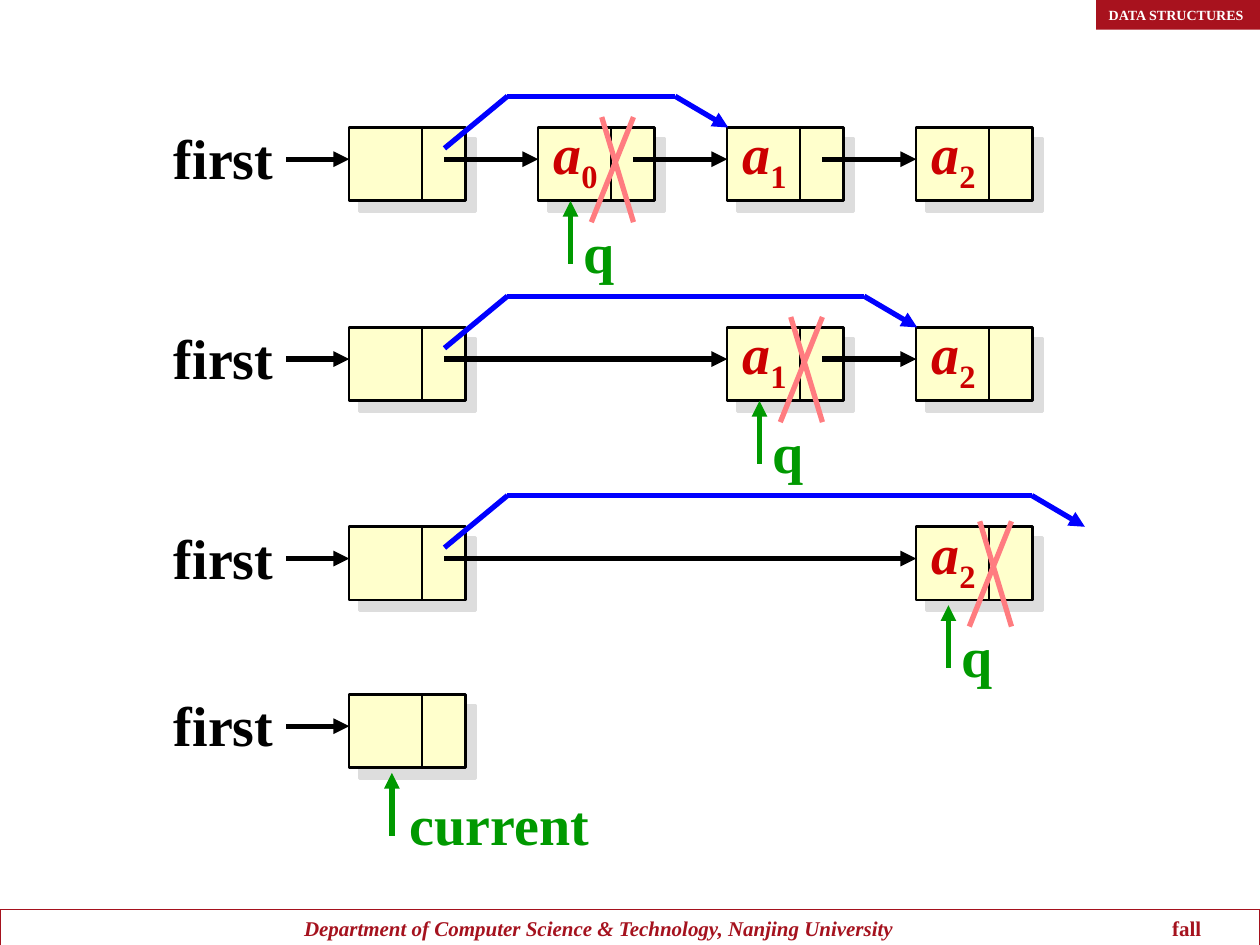
from dataclasses import dataclass

from lxml.etree import SubElement
from pptx import Presentation
from pptx.dml.color import RGBColor
from pptx.enum.shapes import MSO_CONNECTOR, MSO_SHAPE
from pptx.enum.text import MSO_ANCHOR, PP_ALIGN
from pptx.oxml.ns import qn
from pptx.util import Cm, Pt


@dataclass(frozen=True)
class Theme:
    font: str = "Times New Roman"
    ink: str = "000000"
    node: str = "FFFFCC"
    shadow: str = "DDDDDD"
    item: str = "CC0000"
    pointer: str = "009900"
    bypass: str = "0000FF"
    cross: str = "FF7C80"
    maroon: str = "A5121E"
    banner: str = "A8121E"
    white: str = "FFFFFF"
    label_size: int = 32
    footer_size: int = 12
    banner_size: int = 8
    thin: float = 1.5
    thick: float = 3


theme = Theme()
presentation = Presentation()
presentation.slide_width, presentation.slide_height = Cm(25.4), Cm(19.05)
slide = presentation.slides.add_slide(presentation.slide_layouts[6])


def add_line(start, end, color, width=theme.thick, arrow=False):
    """Draw a straight line between two (x, y) points in cm."""
    line = slide.shapes.add_connector(
        MSO_CONNECTOR.STRAIGHT, *(Cm(value) for value in (*start, *end)))
    line.line.color.rgb = RGBColor.from_string(color)
    line.line.width = Pt(width)
    properties = line._element.spPr
    if arrow:
        SubElement(properties.find(qn("a:ln")), qn("a:tailEnd"), type="triangle")
    SubElement(properties, qn("a:effectLst"))


def add_label(text, left, top, width, height, color, subscript=""):
    """Add a centred label; with a subscript, the main text turns italic."""
    box = slide.shapes.add_textbox(Cm(left), Cm(top), Cm(width), Cm(height))
    frame = box.text_frame
    frame.word_wrap = False
    frame.vertical_anchor = MSO_ANCHOR.MIDDLE
    paragraph = frame.paragraphs[0]
    paragraph.text = text
    paragraph.alignment = PP_ALIGN.CENTER
    if subscript:
        paragraph.runs[0].font.italic = True
        run = paragraph.add_run()
        run.text = subscript
        run._r.get_or_add_rPr().set("baseline", "-25000")
    for run in paragraph.runs:
        run.font.name = theme.font
        run.font.size = Pt(theme.label_size)
        run.font.bold = True
        run.font.color.rgb = RGBColor.from_string(color)


# Footer and banner
footer = slide.shapes.add_shape(MSO_SHAPE.RECTANGLE, 0, Cm(18.33), Cm(25.4), Cm(0.76))
footer.fill.background()
footer.line.color.rgb = RGBColor.from_string(theme.maroon)
footer.line.width = Pt(0.75)
banner = slide.shapes.add_shape(MSO_SHAPE.RECTANGLE, Cm(22.1), 0, Cm(3.3), Cm(0.6))
banner.fill.solid()
banner.fill.fore_color.rgb = RGBColor.from_string(theme.banner)
banner.line.fill.background()

for shape, text, size, color in (
    (footer, "\tDepartment of Computer Science & Technology, Nanjing University\tfall",
     theme.footer_size, theme.maroon),
    (banner, "DATA STRUCTURES", theme.banner_size, theme.white),
):
    shape.shadow.inherit = False
    shape.text_frame.vertical_anchor = MSO_ANCHOR.TOP
    paragraph = shape.text_frame.paragraphs[0]
    paragraph.alignment = PP_ALIGN.LEFT
    if shape is footer:
        tabs = SubElement(paragraph._p.get_or_add_pPr(), qn("a:tabLst"))
        for position in (5.88, 23.38):
            SubElement(tabs, qn("a:tab"), pos=str(Cm(position)), algn="l")
    for index, part in enumerate(text.split("\t")):
        run = paragraph.add_run()
        run.text = part if index == 0 else "\t" + part
        run.font.name = theme.font
        run.font.size = Pt(size)
        run.font.bold = True
        run.font.italic = index == 1
        run.font.color.rgb = RGBColor.from_string(color)

# Linked lists: each step removes the first remaining item
LEFT, PITCH = 7.04, 3.81
NODE_WIDTH, NODE_HEIGHT, DIVIDER = 2.34, 1.48, 1.47
LINK_X, LINK_Y = 1.92, 0.64

# top, columns of the nodes, end of the bypass, drop of the marks
steps = (
    (2.57, (0, 1, 2, 3), 14.68, 0),
    (6.6, (0, 2, 3), 18.49, 0),
    (10.62, (0, 3), 21.87, 0.1),
    (14, (0,), None, 0.1),
)

for top, columns, bypass_end, drop in steps:
    node_lefts = [LEFT + PITCH * column for column in columns]
    middle, bottom = top + LINK_Y, top + NODE_HEIGHT

    for left in node_lefts:
        node = slide.shapes.add_shape(
            MSO_SHAPE.RECTANGLE, Cm(left), Cm(top), Cm(NODE_WIDTH), Cm(NODE_HEIGHT))
        node.fill.solid()
        node.fill.fore_color.rgb = RGBColor.from_string(theme.node)
        node.line.color.rgb = RGBColor.from_string(theme.ink)
        node.line.width = Pt(theme.thin)
        node.shadow.inherit = False
        shadow = SubElement(
            node._element.spPr.find(qn("a:effectLst")), qn("a:outerShdw"),
            dist=str(Pt(8.5)), dir="2700000", algn="ctr", rotWithShape="0")
        SubElement(shadow, qn("a:srgbClr"), val=theme.shadow)
        add_line((left + DIVIDER, top), (left + DIVIDER, bottom), theme.ink, theme.thin)

    add_label("first", 3.11, top - 0.21, 2.8, 1.63, theme.ink)
    link_starts = [LEFT - 1.27] + [left + LINK_X for left in node_lefts[:-1]]
    for start, end in zip(link_starts, node_lefts):
        add_line((start, middle), (end, middle), theme.ink, arrow=True)

    if bypass_end:
        corners = ((LEFT + LINK_X, top + 0.42), (LEFT + 3.19, top - 0.63),
                   (bypass_end - 1.07, top - 0.63), (bypass_end, top))
        for start, end in zip(corners, corners[1:]):
            add_line(start, end, theme.bypass, arrow=end == corners[-1])

        removed = node_lefts[1]
        pointer_x, pointer_text, text_left, text_width = removed + 0.65, "q", 0, 1.14
        for upper, lower in ((1.92, 1.07), (1.28, 1.92)):
            add_line((removed + upper, top - 0.21 + drop),
                     (removed + lower, top + 1.91 + drop), theme.cross)
    else:
        pointer_x, pointer_text, text_left, text_width = LEFT + 0.86, "current", 0.1, 4.14

    tip = bottom + drop
    add_line((pointer_x, tip + 1.27), (pointer_x, tip), theme.pointer, arrow=True)
    add_label(pointer_text, pointer_x + text_left, tip + 0.2, text_width, 1.63, theme.pointer)

    for column, left in zip(columns[1:], node_lefts[1:]):
        add_label("a", left + 0.05, top - 0.3, 1.4, 1.8, theme.item, str(column - 1))

presentation.save("out.pptx")
